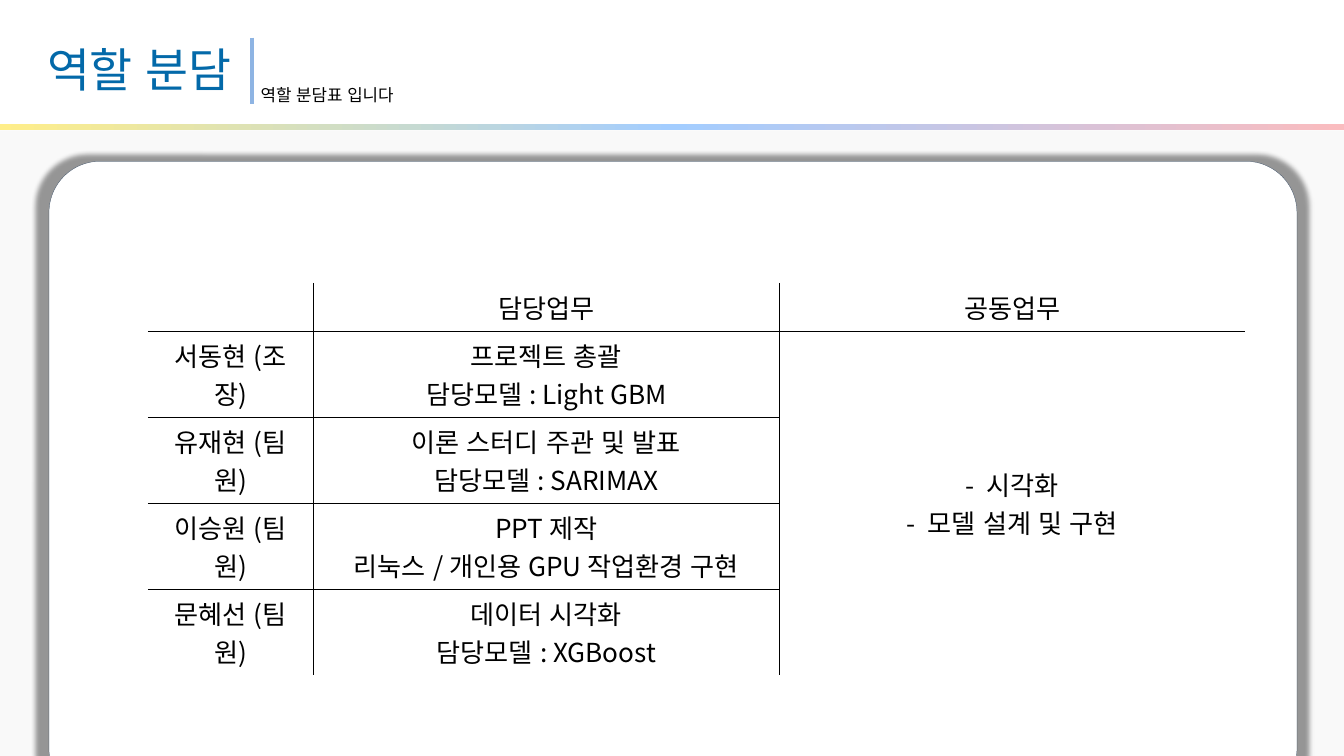
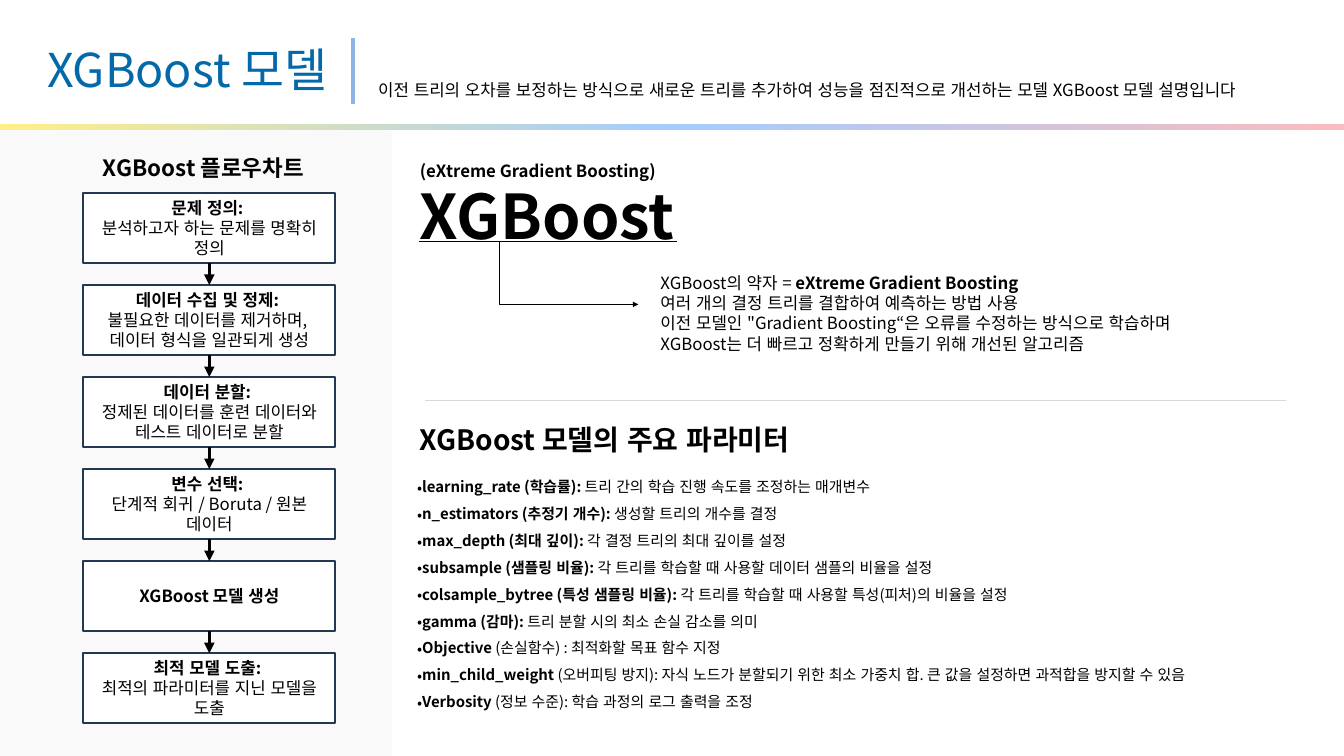
"""Builds two slides: a role table and a model overview."""
from lxml import etree
from pptx import Presentation
from pptx import util as u
from pptx.dml import color
from pptx.enum import dml, shapes, text
from pptx.oxml import ns

HUES = {
    "ink": "000000", "title": "0369A9", "mark": "8EB4E3", "panel": "F9F9F9",
    "white": "FFFFFF", "edge": "233953", "rule": "D9D9D9",
    "gold": "FFEE89", "sky": "A3CDFF", "pink": "FABCBF",
}
FONT = "Noto Sans CJK KR"
BARE = "{2D5ABB26-0587-4C30-8999-92F81FD0307C}"
MID = text.MSO_ANCHOR.MIDDLE
MIDDLE = text.PP_ALIGN.CENTER
LINK = shapes.MSO_CONNECTOR
FORM = shapes.MSO_SHAPE

ROLES = [
    ("서동현 (조장)", ["프로젝트 총괄", "담당모델 : Light GBM"]),
    ("유재현 (팀원)", ["이론 스터디 주관 및 발표", "담당모델 : SARIMAX"]),
    ("이승원 (팀원)", ["PPT 제작", "리눅스 / 개인용 GPU 작업환경 구현"]),
    ("문혜선 (팀원)", ["데이터 시각화", "담당모델 : XGBoost"]),
]
SHARED = ["시각화", "모델 설계 및 구현"]
STEPS = [
    ("문제 정의: ", "분석하고자 하는 문제를 명확히 정의"),
    ("데이터 수집 및 정제: ", "불필요한 데이터를 제거하며, ", "데이터 형식을 일관되게 생성"),
    ("데이터 분할: ", "정제된 데이터를 훈련 데이터와 테스트 데이터로 분할"),
    ("변수 선택: ", "단계적 회귀 / Boruta / 원본 데이터"),
    ("XGBoost 모델 생성",),
    ("최적 모델 도출: ", "최적의 파라미터를 지닌 모델을 도출"),
]
ABOUT = [
    [("XGBoost의 약자 = ", False), ("eXtreme Gradient Boosting", True)],
    "여러 개의 결정 트리를 결합하여 예측하는 방법 사용",
    "이전 모델인 \"Gradient Boosting“은 오류를 수정하는 방식으로 학습하며",
    "XGBoost는 더 빠르고 정확하게 만들기 위해 개선된 알고리즘",
]
PARAMS = [
    ("learning_rate (학습률):", " 트리 간의 학습 진행 속도를 조정하는 매개변수"),
    ("n_estimators (추정기 개수):", " 생성할 트리의 개수를 결정"),
    ("max_depth (최대 깊이):", " 각 결정 트리의 최대 깊이를 설정"),
    ("subsample (샘플링 비율):", " 각 트리를 학습할 때 사용할 데이터 샘플의 비율을 설정"),
    ("colsample_bytree (특성 샘플링 비율):", " 각 트리를 학습할 때 사용할 특성(피처)의 비율을 설정"),
    ("gamma (감마):", " 트리 분할 시의 최소 손실 감소를 의미"),
    ("Objective ", "(손실함수) : 최적화할 목표 함수 지정"),
    ("min_child_weight ", "(오버피팅 방지): 자식 노드가 분할되기 위한 최소 가중치 합. "
     "큰 값을 설정하면 과적합을 방지할 수 있음"),
    ("Verbosity", " (정보 수준): 학습 과정의 로그 출력을 조정"),
]


def rgb(hue):
    """Return the named colour."""
    return color.RGBColor.from_string(HUES[hue])


def inch(*vals):
    """Turn numbers into lengths."""
    return [u.Inches(val) for val in vals]


def node(top, tag, **attrs):
    """Add a drawing element under another."""
    return etree.SubElement(top, ns.qn("a:" + tag), attrs)


def tint(top, hue):
    """Add a colour element and return it."""
    return node(top, "srgbClr", val=HUES[hue])


def write(frame, paras, size, hue="ink", bold=False, align=None,
          space=None, mark=None, hang=0):
    """Fill a frame with paragraphs of text or of (text, bold) runs."""
    for i, runs in enumerate(paras):
        para = frame.paragraphs[0] if i == 0 else frame.add_paragraph()
        if align is not None:
            para.alignment = align
        if space:
            para.line_spacing = space
        if mark:
            props = para._p.get_or_add_pPr()
            if hang:
                props.set("marL", str(u.Inches(hang)))
                props.set("indent", str(-u.Inches(hang)))
            node(props, "buFont", typeface=FONT)
            node(props, "buChar", char=mark)
        for words, heavy in [(runs, bold)] if isinstance(runs, str) else runs:
            run = para.add_run()
            run.text = words
            font = run.font
            font.name, font.size, font.bold = FONT, u.Pt(size), heavy
            font.color.rgb = rgb(hue)
            props = run._r.get_or_add_rPr()
            props.set("lang", "ko-KR")
            node(props, "ea", typeface=FONT)


def label(slide, box, paras, size, **look):
    """Add a wrapped text box that grows with its text."""
    frame = slide.shapes.add_textbox(*inch(*box)).text_frame
    frame.word_wrap = True
    frame.auto_size = text.MSO_AUTO_SIZE.SHAPE_TO_FIT_TEXT
    write(frame, paras, size, **look)
    return frame


def block(slide, box, hue, edge=None, width=0, form=FORM.RECTANGLE):
    """Add a filled shape with an optional outline."""
    shape = slide.shapes.add_shape(form, *inch(*box))
    shape.shadow.inherit = False
    shape.fill.solid()
    shape.fill.fore_color.rgb = rgb(hue)
    if edge:
        shape.line.color.rgb = rgb(edge)
        shape.line.width = u.Pt(width)
    else:
        shape.line.fill.background()
    return shape


def stroke(slide, ends, hue, width, arrow=False, kind=LINK.STRAIGHT):
    """Add a line, with an arrowhead if asked."""
    line = slide.shapes.add_connector(kind, *inch(*ends))
    line.line.color.rgb = rgb(hue)
    line.line.width = u.Pt(width)
    if arrow:
        node(line.line._get_or_add_ln(), "tailEnd", type="triangle")
    node(line._element.spPr, "effectLst")
    return line


def header(slide, box, title, wide, bar, sub, note):
    """Place title, upright mark, note and gradient strip."""
    x, y, w, h = box
    frame = label(slide, (x + 0.7, y + 0.54, wide, 0.97), [title], 50,
                  hue="title", space=1.0)
    frame.auto_size = text.MSO_AUTO_SIZE.NONE
    frame.vertical_anchor = MID
    frame.margin_left = frame.margin_right = 0
    frame.margin_top = frame.margin_bottom = 0
    stroke(slide, (x + bar, y + 0.56, x + bar, y + 1.55), "mark", 3.75)
    strip = block(slide, (x, y + h - 0.1, w, 0.1), "sky")
    strip.fill.gradient()
    strip.fill.gradient_angle = 0
    stops = strip._element.spPr.find(".//" + ns.qn("a:gsLst"))
    for stop in list(stops):
        stops.remove(stop)
    for i, hue in enumerate(("gold", "sky", "pink")):
        tint(node(stops, "gs", pos=str(i * 50000)), hue)
    label(slide, (x + sub[0], y + sub[1], 14.76, 0.4), [note], 18)


def card(slide, box):
    """Place the rounded card with its wide shadow."""
    shape = block(slide, box, "white", "edge", 0.25, FORM.ROUNDED_RECTANGLE)
    shape.adjustments[0] = 0.08
    glow = node(shape._element.spPr.find(ns.qn("a:effectLst")), "outerShdw",
                blurRad=str(u.Pt(5)), dist="0", sx="102000", sy="102000",
                algn="ctr", rotWithShape="0")
    node(tint(glow, "ink"), "alpha", val="40000")


def border(cell, *sides):
    """Draw thin lines on the given sides of a cell."""
    for side in sides:
        line = node(cell._tc.get_or_add_tcPr(), "ln" + side, w=str(u.Pt(1)))
        tint(node(line, "solidFill"), "ink")


def roles(slide, box):
    """Place the table of members, tasks and shared tasks."""
    x, y, w, h = box
    count = len(ROLES) + 1
    grid = slide.shapes.add_table(count, 3, *inch(x, y, w, h)).table
    grid.first_row = grid.horz_banding = False
    grid._tbl.tblPr.find(ns.qn("a:tableStyleId")).text = BARE
    for col, size in zip(grid.columns, (2.46, 6.94, 6.93)):
        col.width = u.Inches(size)
    for i, row in enumerate(grid.rows):
        row.height = u.Inches(1.28 if i else 0.72)
    grid.cell(1, 2).merge(grid.cell(count - 1, 2))
    rows = [([], ["담당업무"], ["공동업무"])]
    rows += [([name], tasks, []) for name, tasks in ROLES]
    for r, row in enumerate(rows):
        for c, paras in enumerate(row):
            cell = grid.cell(r, c)
            if c < 2:
                border(cell, "R")
            if r == 0 or (c < 2 and r < count - 1):
                border(cell, "B")
            cell.fill.background()
            cell.margin_left = cell.margin_right = u.Inches(0.16)
            cell.margin_top = cell.margin_bottom = u.Inches(0.08)
            if r and c != 1:
                cell.vertical_anchor = MID
            write(cell.text_frame, paras, 28, align=MIDDLE)
    write(grid.cell(1, 2).text_frame, SHARED, 28, align=MIDDLE,
          mark="-", hang=0.31)


def flow(slide, box):
    """Place the chain of steps under its heading."""
    x, y, w, h = box
    label(slide, (x + 0.25, y + 0.3, 5.55, 0.5), ["XGBoost 플로우차트"], 24,
          bold=True, align=MIDDLE)
    tiles = []
    for i, (head, *rest) in enumerate(STEPS):
        tile = block(slide, (x + 1.24, y + 0.93 + i * 1.37, 3.75, 1.04),
                     "white", "edge", 2)
        frame = tile.text_frame
        frame.word_wrap = True
        frame.vertical_anchor = MID
        write(frame, [[(head, True)], *rest], 18, align=MIDDLE)
        tiles.append(tile)
    for prev, tile in zip(tiles, tiles[1:]):
        link = stroke(slide, (0, 0, 1, 1), "ink", 3.75, True)
        link.begin_connect(prev, 2)
        link.end_connect(tile, 0)


def about(slide, box):
    """Place the model name and what it stands for."""
    x, y, w, h = box
    label(slide, (x + 0.32, y + 0.66, 4.43, 1.21), ["XGBoost"], 66, bold=True)
    label(slide, (x + 0.32, y + 0.4, 5.88, 0.4),
          ["(eXtreme Gradient Boosting)"], 18, bold=True)
    stroke(slide, (x + 0.4, y + 1.65, x + 4.25, y + 1.65), "ink", 1.5)
    bend = stroke(slide, (x + 1.59, y + 1.66, x + 3.67, y + 2.59), "ink", 1.5,
                  True, LINK.ELBOW)
    geom = bend._element.spPr.find(ns.qn("a:prstGeom"))
    guide = geom.find(ns.qn("a:avLst"))
    if guide is None:
        guide = node(geom, "avLst")
    node(guide, "gd", name="adj1", fmla="val 500")
    label(slide, (x + 3.9, y + 2.07, 8.52, 1.31), ABOUT, 18)


def params(slide, box):
    """Place the rule, heading and list of parameters."""
    x, y, w, h = box
    rule = stroke(slide, (x + 0.5, y, x + w - 0.87, y), "rule", 0.25)
    rule.line.dash_style = dml.MSO_LINE.ROUND_DOT
    label(slide, (x + 0.32, y + 0.28, 6.63, 0.61),
          ["XGBoost 모델의 주요 파라미터"], 30, bold=True)
    items = [[(name, True), (note, False)] for name, note in PARAMS]
    label(slide, (x + 0.28, y + 0.97, 13.56, 3.69), items, 16,
          space=1.5, mark="•")


def main():
    """Build and save the deck."""
    deck = Presentation()
    deck.slide_width, deck.slide_height = inch(20, 11.25)
    blank = deck.slide_layouts[6]
    top = (0, 0, 20, 1.94)

    team = deck.slides.add_slide(blank)
    block(team, (0, 1.94, 20, 9.31), "panel")
    header(team, top, "역할 분담", 6.74, 3.75, (3.78, 1.21), "역할 분담표 입니다")
    card(team, (0.73, 2.4, 18.57, 9.51))
    roles(team, (2.2, 4.21, 16.33, 5.84))

    model = deck.slides.add_slide(blank)
    side = (0, 1.94, 5.83, 9.31)
    block(model, side, "panel")
    header(model, top, "XGBoost 모델", 4.63, 5.25, (5.53, 1.14),
           "이전 트리의 오차를 보정하는 방식으로 새로운 트리를 추가하여 성능을 "
           "점진적으로 개선하는 모델 XGBoost 모델 설명입니다")
    flow(model, side)
    about(model, (5.83, 1.94, 14.17, 4.02))
    params(model, (5.83, 5.96, 14.17, 5.29))
    deck.save("out.pptx")


if __name__ == "__main__":
    main()
